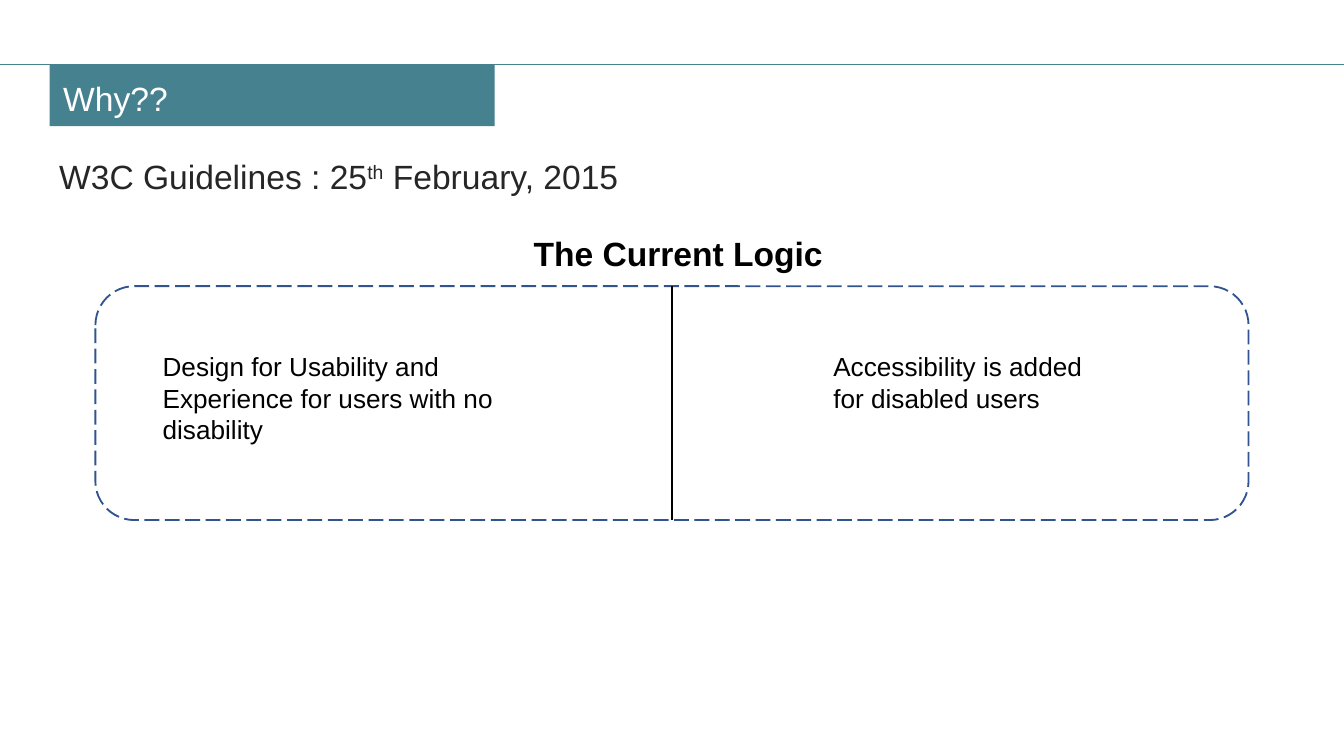
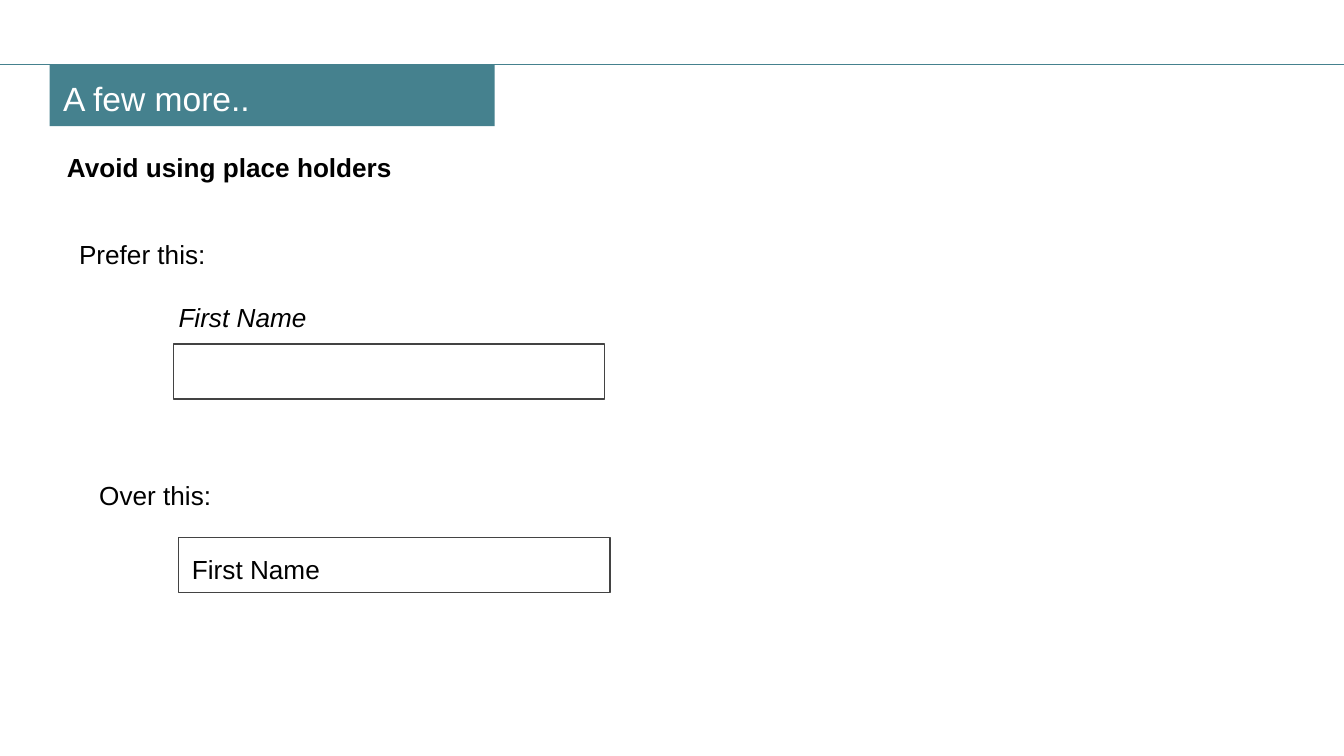
from collections import namedtuple

from lxml import etree
from pptx import Presentation
from pptx.dml.color import RGBColor
from pptx.enum.dml import MSO_LINE
from pptx.enum.shapes import MSO_CONNECTOR, MSO_SHAPE
from pptx.enum.text import MSO_ANCHOR, MSO_AUTO_SIZE, PP_ALIGN
from pptx.oxml.ns import qn
from pptx.util import Inches, Pt

COLORS = {
    "band": "45818E",
    "title": "FFFFFF",
    "text": "000000",
    "heading": "262626",
    "frame": "31538F",
    "field": "434343",
}
FONT = "Arial"
COLUMNS, ROWS = 100, 56.25
CELL = 0.1
TIGHT = (0.07, 0.04)
WIDE = (0.1, 0.1)
TITLE_ONLY = 5
RECTANGLE = MSO_SHAPE.RECTANGLE
ROUNDED = MSO_SHAPE.ROUNDED_RECTANGLE
STRAIGHT = MSO_CONNECTOR.STRAIGHT
LONG_DASH = MSO_LINE.LONG_DASH
TOP = MSO_ANCHOR.TOP
LEFT = PP_ALIGN.LEFT
NO_AUTOFIT = MSO_AUTO_SIZE.NONE

Box = namedtuple("Box", "left top width height")
BAND = Box(3.7, 4.8, 33.1, 4.6)


def cells(*lengths):
    return [Inches(length * CELL) for length in lengths]


def inside(box, left, top, width, height):
    return Box(box.left + left, box.top + top, width, height)


def color(name):
    return RGBColor.from_string(COLORS[name])


def write(shape, runs, size, color_name="text", insets=WIDE, bold=False, italic=False):
    frame = shape.text_frame
    frame.word_wrap = True
    frame.auto_size = NO_AUTOFIT
    frame.vertical_anchor = TOP
    frame.margin_left = frame.margin_right = Inches(insets[0])
    frame.margin_top = frame.margin_bottom = Inches(insets[1])
    paragraph = frame.paragraphs[0]
    paragraph.alignment = LEFT
    font = paragraph.font
    font.name, font.size = FONT, Pt(size)
    font.bold, font.italic = bold, italic
    font.color.rgb = color(color_name)
    for text in runs:
        paragraph.add_run().text = text
    return paragraph


def add_text(slide, box, text, size=14, **style):
    return write(slide.shapes.add_textbox(*cells(*box)), [text], size, **style)


def add_line(slide, start, end, color_name):
    line = slide.shapes.add_connector(STRAIGHT, *cells(*start, *end))
    line.line.color.rgb = color(color_name)
    line.line.width = Pt(0.75)
    etree.SubElement(line._element.spPr, qn("a:effectLst"))


def add_outline(slide, kind, box, color_name, width):
    shape = slide.shapes.add_shape(kind, *cells(*box))
    shape.shadow.inherit = False
    shape.fill.background()
    shape.line.color.rgb = color(color_name)
    shape.line.width = Pt(width)
    return shape


def add_titled_slide(presentation, title):
    slide = presentation.slides.add_slide(presentation.slide_layouts[TITLE_ONLY])
    band = slide.shapes.title
    band.left, band.top, band.width, band.height = cells(*BAND)
    band.fill.solid()
    band.fill.fore_color.rgb = color("band")
    write(band, [title], 18, "title")
    add_line(slide, (0, BAND.top), (COLUMNS, BAND.top), "band")
    return slide


def add_guideline_heading(slide, box):
    shape = slide.shapes.add_textbox(*cells(*box))
    runs = ["W3C Guidelines : 25", "th", " February, 2015"]
    paragraph = write(shape, runs, 18, "heading", TIGHT)
    paragraph.runs[1].font._element.set("baseline", "30000")


def add_logic_panel(slide, box):
    frame = add_outline(slide, ROUNDED, box, "frame", 1)
    frame.line.dash_style = LONG_DASH
    middle = box.left + box.width / 2
    add_line(slide, (middle, box.top), (middle, box.top + box.height), "text")
    add_text(slide, inside(box, 31.9, -4.4, 28.1, 3.8), "The Current Logic", 18,
             insets=TIGHT, bold=True)
    add_text(slide, inside(box, 4.3, 4.4, 30.3, 10.6),
             "Design for Usability and Experience for users with no disability",
             insets=TIGHT)
    add_text(slide, inside(box, 54.2, 4.4, 21.8, 4.3),
             "Accessibility is added for disabled users", insets=TIGHT)


def add_field_example(slide, box, caption, caption_offset, label_offset, italic):
    add_outline(slide, RECTANGLE, box, "field", 0.75)
    add_text(slide, inside(box, *caption_offset, 19, 3.9), caption)
    add_text(slide, inside(box, *label_offset, 13.2, 3.4), "First Name", italic=italic)


def build_why_slide(presentation):
    slide = add_titled_slide(presentation, "Why??")
    add_guideline_heading(slide, Box(BAND.left, 11.2, 47.9, 3.8))
    add_logic_panel(slide, Box(7.1, 21.3, 85.8, 17.4))


def build_placeholder_slide(presentation):
    slide = add_titled_slide(presentation, "A few more..")
    add_text(slide, Box(4, 10.3, 49.3, 5.6), "Avoid using place holders", bold=True)
    add_field_example(slide, Box(12.9, 25.6, 32.1, 4.1), "Prefer this:",
                      (-8, -8.9), (-0.6, -4.2), True)
    add_field_example(slide, Box(13.3, 40, 32.1, 4.1), "Over this:",
                      (-6.9, -5.3), (0, 0.2), False)


def main():
    presentation = Presentation()
    presentation.slide_width, presentation.slide_height = cells(COLUMNS, ROWS)
    build_why_slide(presentation)
    build_placeholder_slide(presentation)
    presentation.save("out.pptx")


if __name__ == "__main__":
    main()
